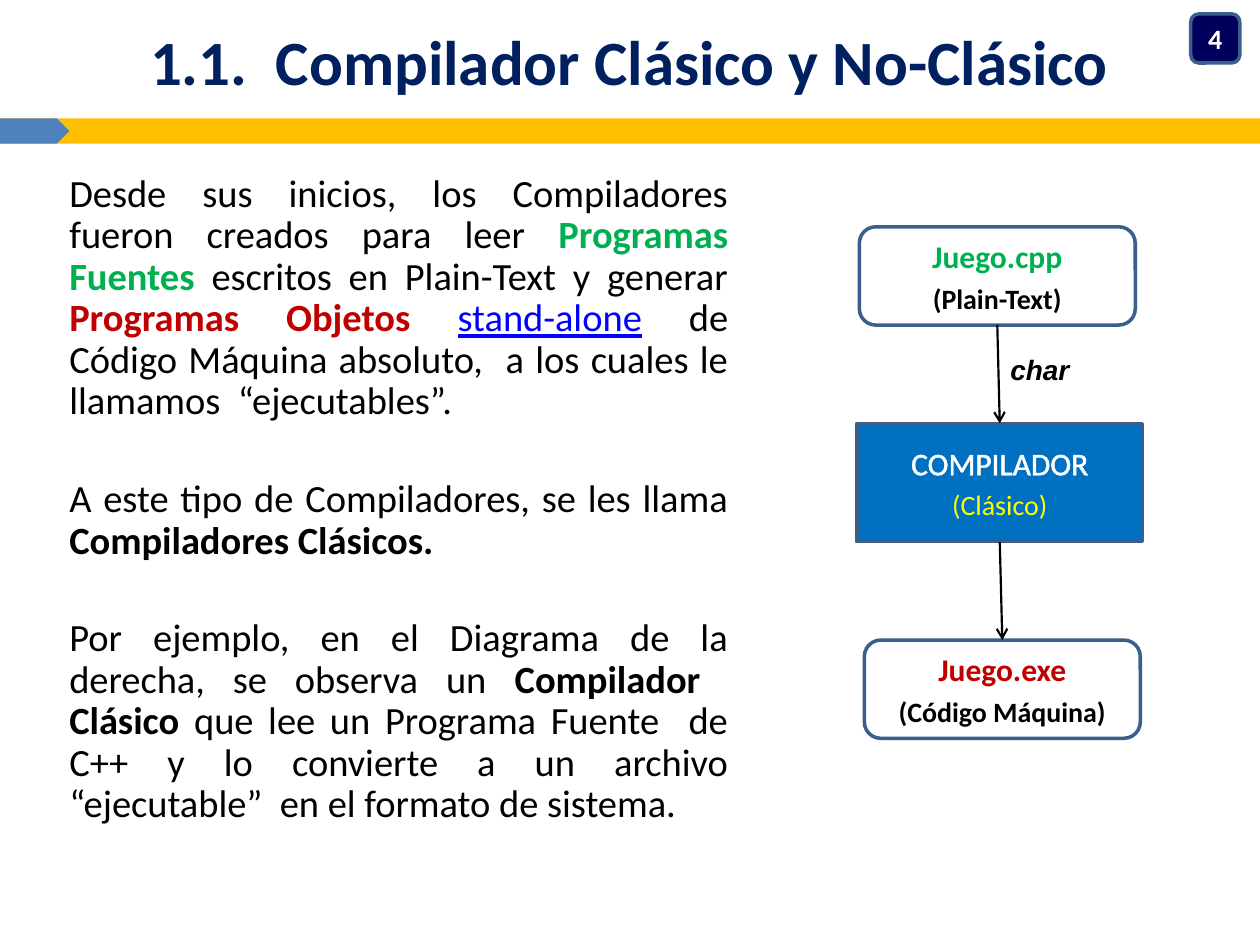
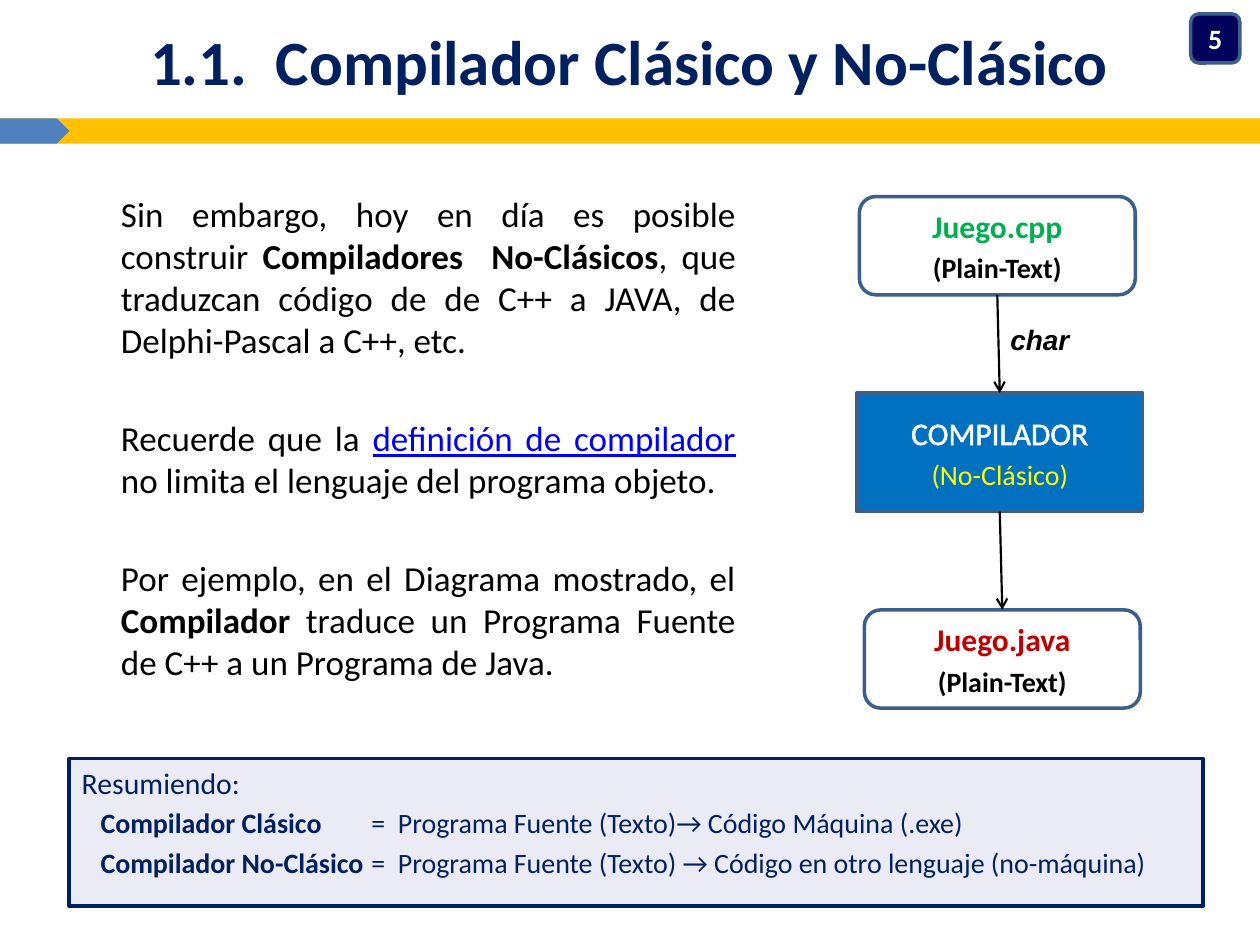
from lxml import etree
from pptx import Presentation
from pptx.dml.color import RGBColor
from pptx.enum import shapes as sh, text as tx
from pptx.oxml.ns import qn
from pptx.util import Inches, Pt

NAVY, EDGE, BLACK, WHITE = "002060", "3A5F8C", "000000", "FFFFFF"
GREEN, RED, LINK = "00B050", "C00000", "0000FF"
TITLE = "1.1.  Compilador Clásico y No-Clásico"
KIND = sh.MSO_SHAPE
ALIGN = tx.PP_ALIGN


def paint(fmt, color):
    """Apply a hex colour to a fill, or to the fill of a line."""
    fmt.solid()
    fmt.fore_color.rgb = RGBColor.from_string(color)


def style(run, size, color=BLACK, bold=False, italic=False, under=False,
          face="Calibri"):
    font = run.font
    font.name, font.size = face, Pt(size)
    font.bold, font.italic, font.underline = bold, italic, under
    paint(font.fill, color)


def add_par(frame, first, runs, align, gap=0):
    """Add a paragraph; each run is (text, size, style options)."""
    par = frame.paragraphs[0] if first else frame.add_paragraph()
    par.alignment = align
    par.space_before = Pt(0 if first else gap)
    for words, size, opts in runs:
        run = par.add_run()
        run.text = words
        style(run, size, **opts)
    return par


def add_box(slide, kind, x, y, w, h, fill=None, edge=None):
    box = slide.shapes.add_shape(kind, Inches(x), Inches(y), Inches(w), Inches(h))
    box.shadow.inherit = False
    if fill:
        paint(box.fill, fill)
    else:
        box.fill.background()
    if edge:
        paint(box.line.fill, edge)
        box.line.width = Pt(2)
    else:
        box.line.fill.background()
    frame = box.text_frame
    frame.word_wrap = True
    frame.vertical_anchor = tx.MSO_ANCHOR.MIDDLE
    return box


def add_node(slide, kind, place, lines, fill=None):
    """Box of the diagram with one centred run per line."""
    box = add_box(slide, kind, *place, fill, EDGE)
    for i, line in enumerate(lines):
        add_par(box.text_frame, i == 0, [line], ALIGN.CENTER, 3.5)
    return box


def add_arrow(slide, start, end):
    """Arrow from the bottom of one box to the top of the next."""
    link = slide.shapes.add_connector(sh.MSO_CONNECTOR.STRAIGHT, 0, 0, 0, 0)
    link.begin_connect(start, 2)
    link.end_connect(end, 0)
    paint(link.line.fill, BLACK)
    link.line.width = Pt(1.25)
    etree.SubElement(link.line._get_or_add_ln(), qn("a:tailEnd"), type="arrow")
    etree.SubElement(link._element.spPr, qn("a:effectLst"))


def move(shape, x, y, w, h):
    shape.left, shape.top = Inches(x), Inches(y)
    shape.width, shape.height = Inches(w), Inches(h)


def add_page(deck, number):
    """Slide with the shared title, bands and number badge."""
    slide = deck.slides.add_slide(deck.slide_layouts[1])
    add_box(slide, KIND.RECTANGLE, 0, 0.94, 10, 0.2, "FFC000")
    add_box(slide, KIND.PENTAGON, 0, 0.94, 0.55, 0.2, "4F81BD")
    title = slide.shapes.title
    move(title, 0.23, 0.13, 9.53, 0.7)
    frame = title.text_frame
    frame.text = TITLE
    frame.auto_size = tx.MSO_AUTO_SIZE.NONE
    frame.vertical_anchor = tx.MSO_ANCHOR.MIDDLE
    frame.paragraphs[0].alignment = ALIGN.CENTER
    style(frame.paragraphs[0].runs[0], 36, NAVY, bold=True)
    add_node(slide, KIND.ROUNDED_RECTANGLE, (9.45, 0.11, 0.39, 0.39),
             [(str(number), 16, dict(color=WHITE, bold=True))], "00005C")
    return slide


def fill_body(slide, place, size, pars, pad=0.1, pitch=1.0):
    """Justified text without bullets; pars hold (text, options) runs."""
    body = slide.placeholders[1]
    move(body, *place)
    frame = body.text_frame
    frame.auto_size = tx.MSO_AUTO_SIZE.NONE
    frame.margin_left = frame.margin_right = Inches(pad)
    for i, runs in enumerate(pars):
        sized = [(words, size, opts) for words, opts in runs]
        par = add_par(frame, i == 0, sized, ALIGN.JUSTIFY, 32)
        par.line_spacing = pitch
        props = par._p.get_or_add_pPr()
        props.set("marL", "0")
        props.set("indent", "0")
        etree.SubElement(props, qn("a:buNone"))


def add_flow(slide, top, kind, target, form):
    """Source file, compiler and target file, from top to bottom."""
    def add_file(x, y, name, note, color):
        return add_node(slide, KIND.ROUNDED_RECTANGLE, (x, y, 2.19, 0.78),
                        [(name, 18, dict(color=color, bold=True)),
                         (note, 16, dict(bold=True))])

    source = add_file(6.82, top, "Juego.cpp", "(Plain-Text)", GREEN)
    core = add_node(slide, KIND.RECTANGLE, (6.8, top + 1.56, 2.27, 0.94),
                    [("COMPILADOR", 18, dict(color=WHITE)),
                     (kind, 16, dict(color="FFFF00"))], "0070C0")
    result = add_file(6.86, top + 3.28, target, form, RED)
    add_arrow(slide, source, core)
    add_arrow(slide, core, result)

    # White outline of the compiler's name
    props = core.text_frame.paragraphs[0].runs[0].font._element
    line = etree.Element(qn("a:ln"), w=str(Pt(1.45)))
    solid = etree.SubElement(line, qn("a:solidFill"))
    etree.SubElement(solid, qn("a:srgbClr"), val=WHITE)
    props.insert(0, line)

    # Label of the first arrow
    label = slide.shapes.add_textbox(Inches(7.92), Inches(top + 0.95),
                                     Inches(0.68), Inches(0.37))
    label.text_frame.word_wrap = False
    add_par(label.text_frame, True,
            [("char", 16, dict(bold=True, italic=True, face="Arial"))], ALIGN.LEFT)


def add_recap(slide, rows):
    """Summary box with its terms and meanings set on tab stops."""
    box = add_box(slide, KIND.RECTANGLE, 0.55, 6.02, 9, 1.17, "EBEBF5", NAVY)
    frame = box.text_frame
    frame.vertical_anchor = tx.MSO_ANCHOR.TOP
    add_par(frame, True, [("Resumiendo:", 17, dict(color=NAVY))], ALIGN.LEFT)
    for term, sense in rows:
        par = add_par(frame, False,
                      [("\t" + term, 16, dict(color=NAVY, bold=True)),
                       ("\t" + sense, 16, dict(color=NAVY))], ALIGN.LEFT, 3.2)
        tabs = etree.SubElement(par._p.get_or_add_pPr(), qn("a:tabLst"))
        for stop in (0.15, 2.3):
            etree.SubElement(tabs, qn("a:tab"), pos=str(Inches(stop)), algn="l")


def main():
    deck = Presentation()
    deck.slide_width, deck.slide_height = Inches(10), Inches(7.5)
    plain, bold = {}, dict(bold=True)
    link = dict(color=LINK, under=True)

    # Classic compiler
    slide = add_page(deck, 4)
    add_flow(slide, 1.8, "(Clásico)", "Juego.exe", "(Código Máquina)")
    fill_body(slide, (0.55, 1.33, 5.23, 5.31), 22, [
        [("Desde sus inicios, los Compiladores fueron creados para leer ", plain),
         ("Programas Fuentes", dict(color=GREEN, bold=True)),
         (" escritos en Plain-Text y generar ", plain),
         ("Programas Objetos ", dict(color=RED, bold=True)),
         ("stand-alone", link),
         (" de Código Máquina absoluto,  a los cuales le llamamos  “ejecutables”.",
          plain)],
        [("A este tipo de Compiladores, se les llama ", plain),
         ("Compiladores Clásicos.", bold)],
        [("Por ejemplo, en el Diagrama de la derecha, se observa un ", plain),
         ("Compilador  Clásico", bold),
         (" que lee un Programa Fuente  de C++ y lo convierte a un archivo "
          "“ejecutable”  en el formato de sistema.", plain)],
    ], pad=0, pitch=0.9)

    # Non-classic compiler
    slide = add_page(deck, 5)
    add_flow(slide, 1.56, "(No-Clásico)", "Juego.java", "(Plain-Text)")
    fill_body(slide, (0.86, 1.48, 5.08, 4.38), 20, [
        [("Sin embargo, hoy en día es posible construir ", plain),
         ("Compiladores  No-Clásicos", bold),
         (", que traduzcan código de de C++ a JAVA, de Delphi-Pascal a C++, etc.",
          plain)],
        [("Recuerde que la ", plain), ("definición de compilador", link),
         (" no limita el lenguaje del programa objeto.", plain)],
        [("Por ejemplo, en el Diagrama mostrado, el ", plain),
         ("Compilador", bold),
         (" traduce un Programa Fuente de C++ a un Programa de Java.", plain)],
    ])
    add_recap(slide, [
        ("Compilador Clásico",
         "=  Programa Fuente (Texto)→ Código Máquina (.exe)"),
        ("Compilador No-Clásico",
         "=  Programa Fuente (Texto) → Código en otro lenguaje (no-máquina)"),
    ])
    deck.save("out.pptx")


if __name__ == "__main__":
    main()
